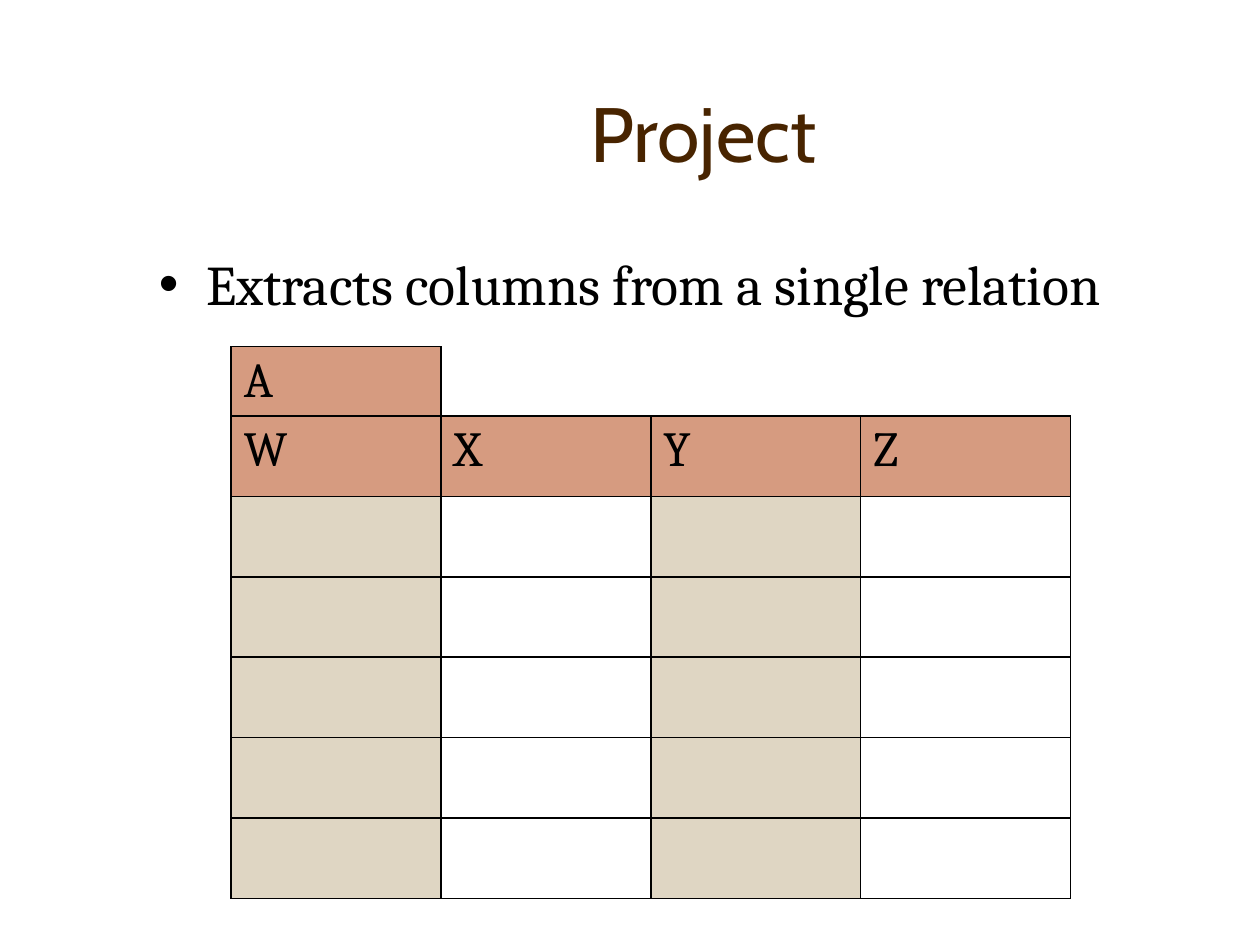
from lxml import etree
from pptx import Presentation
from pptx.dml.color import RGBColor
from pptx.enum.text import MSO_ANCHOR, PP_ALIGN
from pptx.oxml.ns import qn
from pptx.util import Cm, Pt

MIDDLE, TOP = MSO_ANCHOR.MIDDLE, MSO_ANCHOR.TOP
CENTER, LEFT = PP_ALIGN.CENTER, PP_ALIGN.LEFT
BROWN = RGBColor(0x48, 0x24, 0x00)
BLACK = RGBColor(0x00, 0x00, 0x00)
WHITE = RGBColor(0xFF, 0xFF, 0xFF)
CLAY = RGBColor(0xD6, 0x9B, 0x80)
SAND = RGBColor(0xDF, 0xD6, 0xC3)

TITLE_FONT = {"name": "Cabin", "size": Pt(44)}
BODY_FONT = {"name": "Cambria", "size": Pt(32)}
CELL_FONT = {"name": "Cambria", "size": Pt(28)}

RELATION_NAME = "A"
ATTRIBUTES = ["W", "X", "Y", "Z"]
PROJECTED = {"W", "Y"}
TUPLE_COUNT = 5
COLUMN_WIDTH = Cm(4.23)
NAME_HEIGHT, ROW_HEIGHT = Cm(1.4), Cm(1.62)


def write_text(para, text, font, color):
    span = para.add_run()
    span.text = text
    for key, value in font.items():
        setattr(span.font, key, value)
    span.font.color.rgb = color


def fill_placeholder(box, place, text, font, color, align, anchor):
    box.left, box.top, box.width, box.height = (Cm(length) for length in place)
    box.text_frame.vertical_anchor = anchor
    para = box.text_frame.paragraphs[0]
    para.alignment = align
    write_text(para, text, font, color)


def set_borders(cell, sides):
    """Draw a black line on each side named in sides (of "LRTB"), none elsewhere."""
    properties = cell._tc.get_or_add_tcPr()
    for side in "LRTB":
        line = etree.SubElement(properties, qn(f"a:ln{side}"), w=str(Pt(1)))
        if side in sides:
            fill = etree.SubElement(line, qn("a:solidFill"))
            etree.SubElement(fill, qn("a:srgbClr"), val=str(BLACK))
        else:
            etree.SubElement(line, qn("a:noFill"))


def format_cell(cell, text="", color=None, sides="LRTB"):
    set_borders(cell, sides)
    if color is None:
        cell.fill.background()
    else:
        cell.fill.solid()
        cell.fill.fore_color.rgb = color
    if text:
        write_text(cell.text_frame.paragraphs[0], text, CELL_FONT, BLACK)


def add_relation(page, left, top):
    """Add the table: relation name, attribute names, then empty tuples."""
    row_heights = [NAME_HEIGHT] + [ROW_HEIGHT] * (TUPLE_COUNT + 1)
    column_count = len(ATTRIBUTES)
    table = page.shapes.add_table(len(row_heights), column_count, left, top,
                                  COLUMN_WIDTH * column_count, sum(row_heights)).table
    table.first_row = table.horz_banding = False
    for row, height in zip(table.rows, row_heights):
        row.height = height

    for index, attribute in enumerate(ATTRIBUTES):
        table.columns[index].width = COLUMN_WIDTH
        if index == 0:
            format_cell(table.cell(0, index), RELATION_NAME, CLAY)
        else:
            format_cell(table.cell(0, index), sides="LB" if index == 1 else "B")
        format_cell(table.cell(1, index), attribute, CLAY)
        for row in range(2, len(row_heights)):
            format_cell(table.cell(row, index),
                        color=SAND if attribute in PROJECTED else WHITE)


def main():
    deck = Presentation()
    deck.slide_width, deck.slide_height = Cm(25.4), Cm(19.05)
    page = deck.slides.add_slide(deck.slide_layouts[1])
    title, body = page.placeholders[0], page.placeholders[1]
    fill_placeholder(title, (3.39, 1.06, 21.59, 3.18), "Project",
                     TITLE_FONT, BROWN, CENTER, MIDDLE)
    fill_placeholder(body, (2.95, 4.9, 21.59, 11.43),
                     "Extracts columns from a single relation",
                     BODY_FONT, BLACK, LEFT, TOP)
    add_relation(page, Cm(4.66), Cm(6.99))
    deck.save("out.pptx")


if __name__ == "__main__":
    main()
